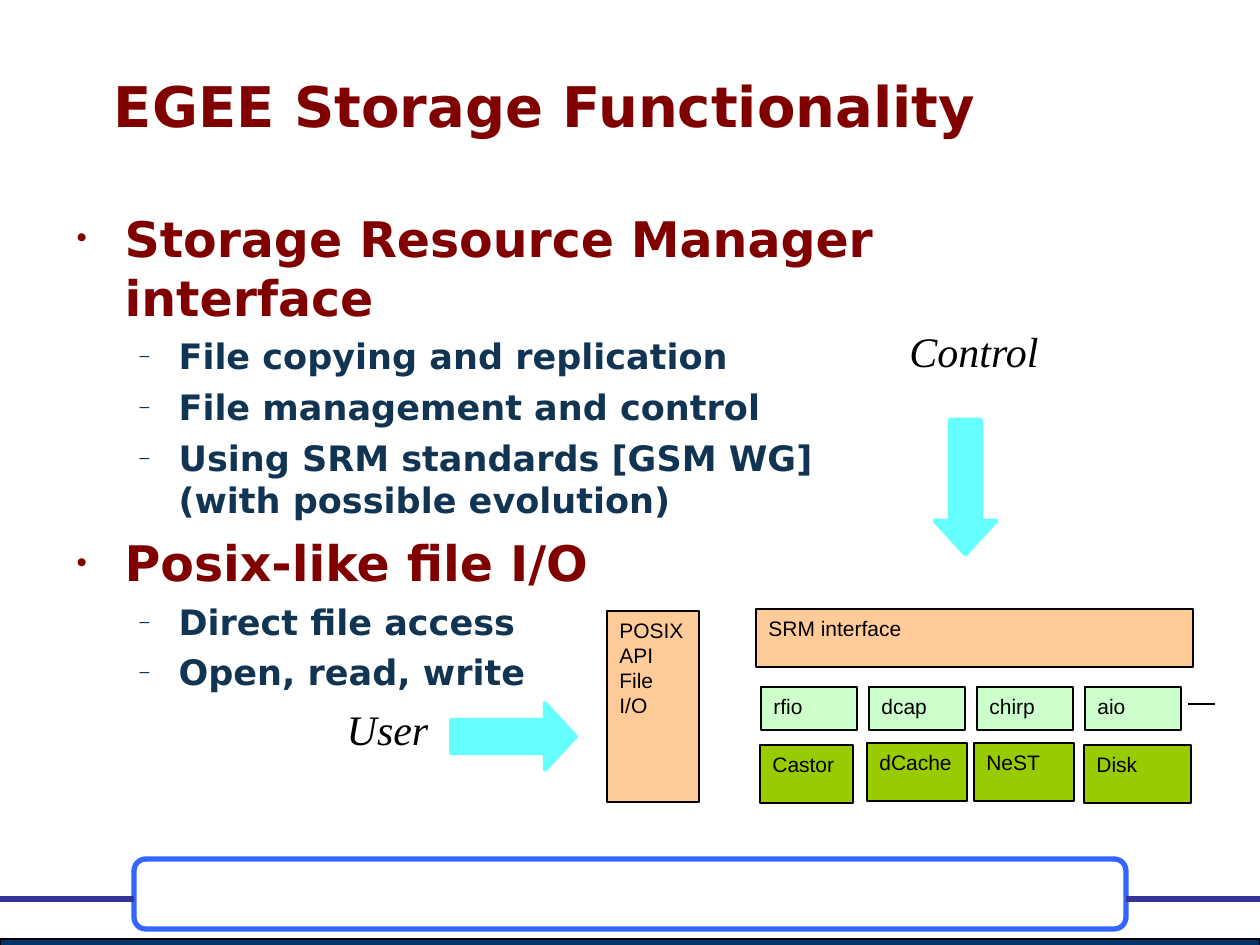
from lxml.etree import SubElement
from pptx import Presentation
from pptx.dml.color import RGBColor
from pptx.enum.shapes import MSO_CONNECTOR, MSO_SHAPE
from pptx.enum.text import MSO_ANCHOR, MSO_AUTO_SIZE, PP_ALIGN
from pptx.oxml.ns import qn
from pptx.util import Pt

PX = 914400 / 126
COLORS = {
    "maroon": "800000", "navy": "113453", "black": "000000",
    "bar": "003366", "frame": "3366FF", "rule": "333399",
    "peach": "FFCC99", "mint": "CCFFCC", "green": "99CC00", "cyan": "66FFFF",
}

TITLE = "EGEE Storage Functionality"
BULLETS = [
    (0, "Storage Resource Manager interface"),
    (1, "File copying and replication"),
    (1, "File management and control"),
    (1, "Using SRM standards [GSM WG]\v(with possible evolution)"),
    (0, "Posix-like file I/O"),
    (1, "Direct file access"),
    (1, "Open, read, write"),
]
LEVELS = [
    dict(char="•", bullet_pct=60, margin=48, hang=48, before=7,
         font=dict(name="DejaVu Sans", size=28, bold=True, color="maroon")),
    dict(char="–", bullet_pct=50, margin=102, hang=39, before=5,
         font=dict(name="DejaVu Sans", size=20, bold=True, color="navy")),
]
TITLE_FONT = dict(name="DejaVu Sans", size=32, bold=True, color="maroon")
BOX_FONT = dict(name="Arial", size=12, color="black")
LABEL_FONT = dict(name="Times New Roman", size=24, italic=True, color="black")

# text, (left, top, width, height), fill
BOXES = [
    ("SRM interface", (756, 609, 437, 58), "peach"),
    ("POSIX API\nFile I/O", (607, 611, 92, 191), "peach"),
    ("Castor", (760, 745, 93, 58), "green"),
    ("dCache", (867, 743, 100, 58), "green"),
    ("NeST", (974, 743, 100, 58), "green"),
    ("Disk", (1084, 745, 107, 58), "green"),
]
PROTOCOLS = ["rfio", "dcap", "chirp", "aio"]
PROTOCOL_LEFT, PROTOCOL_STEP = 761, 108
ARROWS = [((898, 456, 135, 62), 90, 0.545), ((451, 703, 125, 67), 0, 0.464)]
LABELS = [("Control", (896, 325, 156, 58)), ("User", (334, 703, 107, 58))]
# left, right, y, colour, width
LINES = [(0, 134, 899, "rule", 3), (1126, 1260, 899, "rule", 3),
         (1188, 1215, 704, "black", 0.75)]


def emu(*values):
    return [round(v * PX) for v in values]


def rgb(name):
    return RGBColor.from_string(COLORS[name])


def style(tf, fmt):
    """Apply one font format to every run and line break of a text frame."""
    for p in tf.paragraphs:
        style_paragraph(p, fmt)


def style_paragraph(p, fmt):
    for r in p.runs:
        for key, value in fmt.items():
            if key == "color":
                r.font.color.rgb = rgb(value)
            else:
                setattr(r.font, key, Pt(value) if key == "size" else value)
    for br in p._p.findall(qn("a:br")):
        SubElement(br, qn("a:rPr"), sz=str(fmt["size"] * 100))


def add_shape(s, kind, place, fill, line, width=0.75):
    sp = s.shapes.add_shape(kind, *emu(*place))
    sp.shadow.inherit = False
    if fill:
        sp.fill.solid()
        sp.fill.fore_color.rgb = rgb(fill)
    else:
        sp.fill.background()
    sp.line.color.rgb = rgb(line)
    sp.line.width = Pt(width)
    return sp


def add_box(s, text, place, fill):
    sp = add_shape(s, MSO_SHAPE.RECTANGLE, place, fill, "black")
    tf = sp.text_frame
    tf.text = text
    tf.word_wrap = True
    tf.vertical_anchor = MSO_ANCHOR.TOP
    for p in tf.paragraphs:
        p.alignment = PP_ALIGN.LEFT
    style(tf, BOX_FONT)


def add_line(s, left, right, y, color, width):
    line = s.shapes.add_connector(MSO_CONNECTOR.STRAIGHT, *emu(left, y, right, y))
    line.line.color.rgb = rgb(color)
    line.line.width = Pt(width)
    SubElement(line._element.spPr, qn("a:effectLst"))


def place_text(sp, place, anchor):
    sp.left, sp.top, sp.width, sp.height = emu(*place)
    tf = sp.text_frame
    tf.word_wrap = True
    tf.auto_size = MSO_AUTO_SIZE.NONE
    tf.vertical_anchor = anchor
    return tf


def fill_bullets(tf):
    for i, (level, text) in enumerate(BULLETS):
        look = LEVELS[level]
        p = tf.paragraphs[0] if i == 0 else tf.add_paragraph()
        p.text = text
        p.level = level
        p.alignment = PP_ALIGN.LEFT
        p.space_before = Pt(look["before"] if i else 0)
        pPr = p._p.get_or_add_pPr()
        margin, hang = emu(look["margin"], look["hang"])
        pPr.set("marL", str(margin))
        pPr.set("indent", str(-hang))
        color = SubElement(pPr, qn("a:buClr"))
        SubElement(color, qn("a:srgbClr"), val=COLORS[look["font"]["color"]])
        SubElement(pPr, qn("a:buSzPct"), val=str(look["bullet_pct"] * 1000))
        SubElement(pPr, qn("a:buChar"), char=look["char"])
        style_paragraph(p, look["font"])


def main():
    prs = Presentation()
    prs.slide_width, prs.slide_height = emu(1260, 945)
    s = prs.slides.add_slide(prs.slide_layouts[1])

    add_shape(s, MSO_SHAPE.RECTANGLE, (0, 939, 1260, 10), "bar", "black")
    add_shape(s, MSO_SHAPE.ROUNDED_RECTANGLE, (134, 859, 992, 70), None, "frame", 3)
    for line in LINES:
        add_line(s, *line)

    tf = place_text(s.shapes.title, (34, 26, 1022, 158), MSO_ANCHOR.MIDDLE)
    tf.text = TITLE
    tf.paragraphs[0].alignment = PP_ALIGN.CENTER
    style(tf, TITLE_FONT)
    fill_bullets(place_text(s.placeholders[1], (64, 202, 963, 506), MSO_ANCHOR.TOP))

    for box in BOXES:
        add_box(s, *box)
    for i, name in enumerate(PROTOCOLS):
        add_box(s, name, (PROTOCOL_LEFT + i * PROTOCOL_STEP, 687, 96, 43), "mint")

    for place, angle, head in ARROWS:
        sp = add_shape(s, MSO_SHAPE.RIGHT_ARROW, place, "cyan", "cyan", 2.25)
        sp.rotation = angle
        sp.adjustments[1] = head

    for text, place in LABELS:
        tf = s.shapes.add_textbox(*emu(*place)).text_frame
        tf.text = text
        tf.word_wrap = False
        p = tf.paragraphs[0]
        p.alignment = PP_ALIGN.CENTER
        p.line_spacing = 0.9
        style(tf, LABEL_FONT)

    prs.save("out.pptx")


if __name__ == "__main__":
    main()
